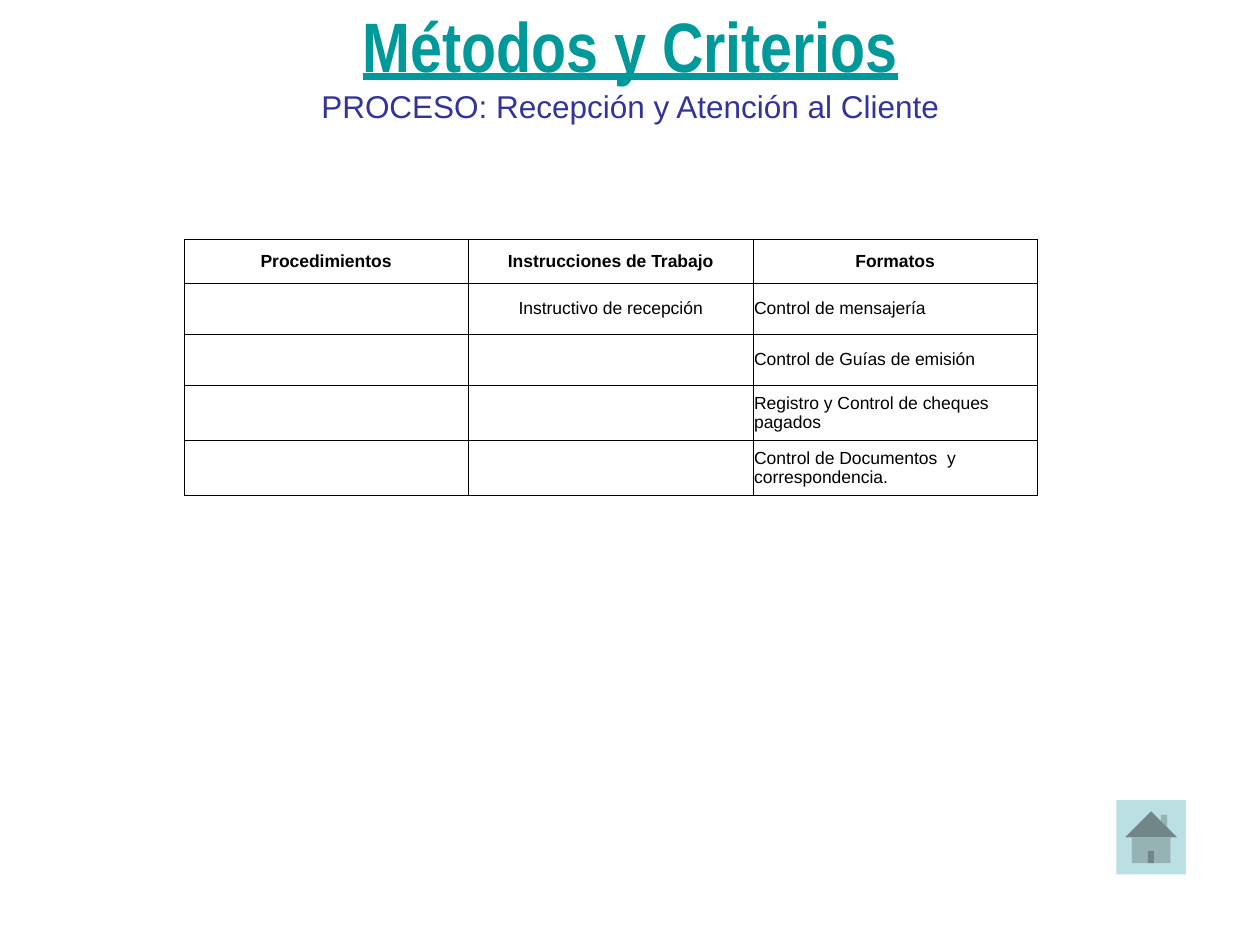
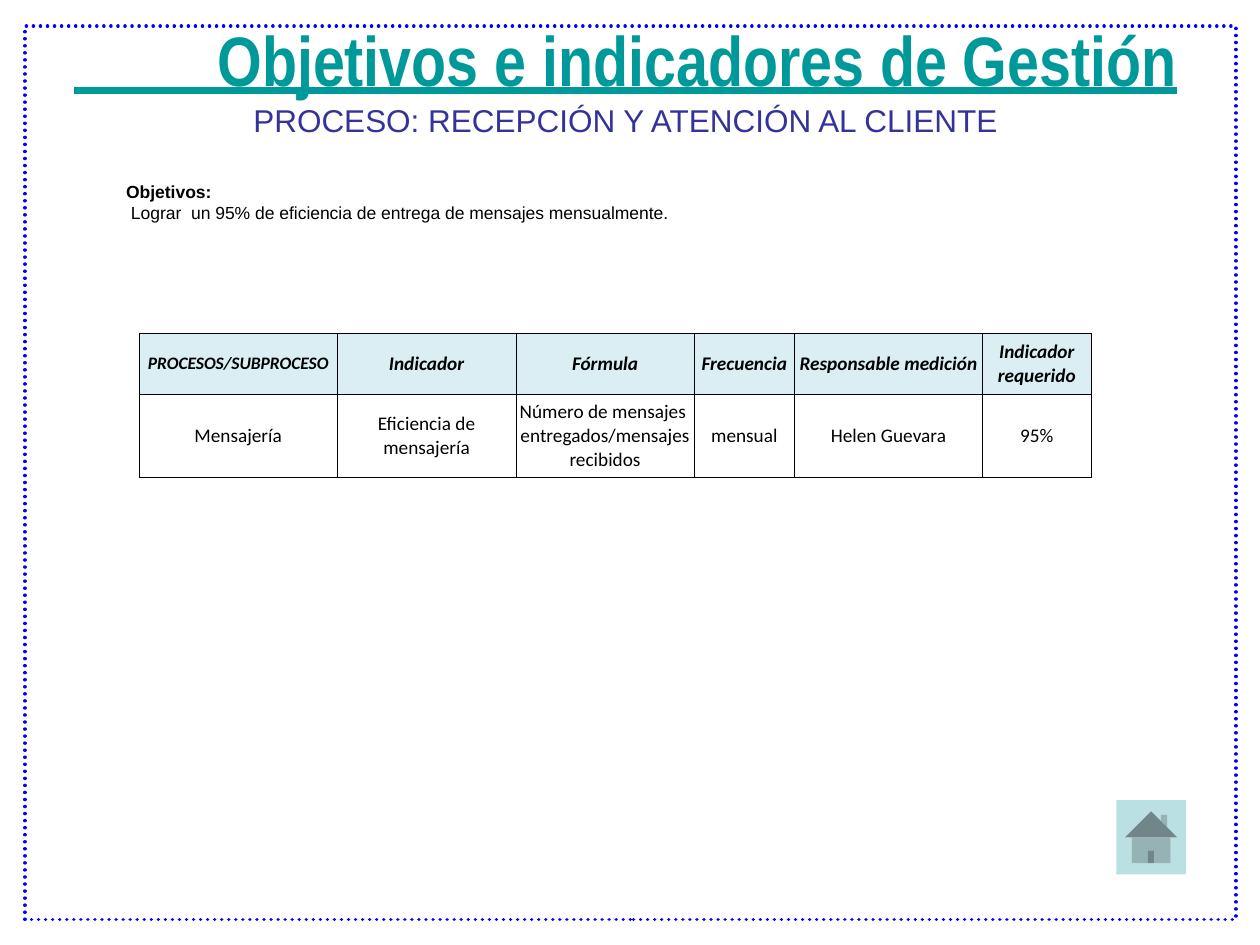
from lxml import etree
from pptx import Presentation
from pptx.dml.color import RGBColor
from pptx.enum.dml import MSO_LINE
from pptx.enum.shapes import MSO_SHAPE
from pptx.enum.text import MSO_ANCHOR, MSO_AUTO_SIZE, PP_ALIGN
from pptx.oxml.ns import qn
from pptx.util import Pt

TEAL = RGBColor(0x00, 0x99, 0x99)
NAVY = RGBColor(0x33, 0x33, 0x99)
BLUE = RGBColor(0x00, 0x00, 0xFF)
AQUA = RGBColor(0xBB, 0xE0, 0xE3)
PALE = RGBColor(0xDB, 0xEE, 0xF3)
BLACK = RGBColor(0x00, 0x00, 0x00)

LEFT, CENTER = PP_ALIGN.LEFT, PP_ALIGN.CENTER
BOTTOM, MIDDLE = MSO_ANCHOR.BOTTOM, MSO_ANCHOR.MIDDLE
FIXED = MSO_AUTO_SIZE.NONE
GROW = MSO_AUTO_SIZE.SHAPE_TO_FIT_TEXT
DOTS = MSO_LINE.ROUND_DOT
RECT, HOME = MSO_SHAPE.RECTANGLE, MSO_SHAPE.ACTION_BUTTON_HOME
TITLE_ONLY = 5


def write(par, text, size=10, face="Arial", color=BLACK, bold=False,
          italic=False, under=False, align=LEFT):
    par.alignment = align
    run = par.add_run()
    run.text = text
    font = run.font
    font.size, font.name = Pt(size), face
    font.bold, font.italic, font.underline = bold, italic, under
    font.color.rgb = color


def place(shape, left, top, width, height):
    shape.left, shape.top = Pt(left), Pt(top)
    shape.width, shape.height = Pt(width), Pt(height)


def add_title(slide, head, process, left, top, height):
    title = slide.shapes.title
    place(title, left, top, 692, height)
    frame = title.text_frame
    frame.auto_size, frame.word_wrap = FIXED, True
    frame.vertical_anchor = BOTTOM
    write(frame.paragraphs[0], head, size=40, face="Arial Narrow",
          color=TEAL, bold=True, under=True, align=CENTER)
    write(frame.add_paragraph(), process, size=18, color=NAVY, align=CENTER)


def add_home(slide):
    home = slide.shapes.add_shape(HOME, Pt(638), Pt(457.2), Pt(39.6), Pt(42.5))
    home.shadow.inherit = False
    home.fill.solid()
    home.fill.fore_color.rgb = AQUA
    home.line.fill.background()


def add_frame(slide):
    frame = slide.shapes.add_shape(RECT, Pt(14.2), Pt(15), Pt(692), Pt(510.5))
    frame.shadow.inherit = False
    frame.fill.background()
    frame.line.color.rgb = BLUE
    frame.line.width = Pt(2)
    frame.line.dash_style = DOTS
    frame.element.spPr.find(qn("a:ln")).set("cap", "rnd")


def add_goal(slide, head, goal):
    box = slide.shapes.add_textbox(Pt(65), Pt(100), Pt(572.4), Pt(43.2))
    frame = box.text_frame
    frame.word_wrap, frame.auto_size = True, GROW
    write(frame.paragraphs[0], head, bold=True)
    write(frame.add_paragraph(), goal)


def add_edges(cell):
    props = cell._tc.get_or_add_tcPr()
    for side in ("lnL", "lnR", "lnT", "lnB"):
        edge = etree.SubElement(props, qn("a:" + side), w=str(Pt(0.23)))
        fill = etree.SubElement(edge, qn("a:solidFill"))
        etree.SubElement(fill, qn("a:srgbClr"), val=str(BLACK))


def add_grid(slide, left, top, widths, heights, rows, style, tint=None):
    shape = slide.shapes.add_table(len(heights), len(widths), Pt(left), Pt(top),
                                   Pt(sum(widths)), Pt(sum(heights)))
    table = shape.table
    table.first_row = table.horz_banding = False
    for col, width in zip(table.columns, widths):
        col.width = Pt(width)
    for row, height in zip(table.rows, heights):
        row.height = Pt(height)
    for r, texts in enumerate(rows):
        for c, text in enumerate(texts):
            cell = table.cell(r, c)
            cell.margin_left = cell.margin_right = Pt(0.75)
            cell.margin_top = cell.margin_bottom = Pt(3.6)
            cell.vertical_anchor = MIDDLE
            add_edges(cell)
            if tint and r == 0:
                cell.fill.solid()
                cell.fill.fore_color.rgb = tint
            else:
                cell.fill.background()
            if text:
                write(cell.text_frame.paragraphs[0], text, **style(r, c))


def method_style(r, c):
    return dict(bold=r == 0, align=LEFT if r and c == 2 else CENTER)


def goal_style(r, c):
    return dict(size=10 if r == c == 0 else 11, face="Calibri",
                bold=r == 0, italic=r == 0, align=CENTER)


def add_methods(deck):
    slide = deck.slides.add_slide(deck.slide_layouts[TITLE_ONLY])
    add_home(slide)
    add_title(slide, "Métodos y Criterios",
              "PROCESO: Recepción y Atención al Cliente", 14.2, 28, 46.8)
    rows = [
        ("Procedimientos", "Instrucciones de Trabajo", "Formatos"),
        ("", "Instructivo de recepción", "Control de mensajería"),
        ("", "", "Control de Guías de emisión"),
        ("", "", "Registro y Control de cheques pagados"),
        ("", "", "Control de Documentos  y correspondencia."),
    ]
    add_grid(slide, 105, 136.7, [162.6] * 3, [25.2, 29, 29, 31.4, 31.4],
             rows, method_style)


def add_goals(deck):
    slide = deck.slides.add_slide(deck.slide_layouts[TITLE_ONLY])
    add_frame(slide)
    add_home(slide)
    add_title(slide, "         Objetivos e indicadores de Gestión",
              "PROCESO: RECEPCIÓN Y ATENCIÓN AL CLIENTE", 11.5, 55.4, 27.4)
    rows = [
        ("PROCESOS/SUBPROCESO", "Indicador", "Fórmula", "Frecuencia",
         "Responsable medición", "Indicador requerido"),
        ("Mensajería", "Eficiencia de mensajería",
         "Número de mensajes  entregados/mensajes recibidos", "mensual",
         "Helen Guevara", "95%"),
    ]
    add_grid(slide, 79.4, 190.6, [113.4, 102, 102, 57.2, 107.6, 62],
             [33.7, 46.9], rows, goal_style, tint=PALE)
    add_goal(slide, "Objetivos:",
             " Lograr  un 95% de eficiencia de entrega de mensajes mensualmente.")


def main():
    deck = Presentation()
    deck.slide_width, deck.slide_height = Pt(720), Pt(540)
    add_methods(deck)
    add_goals(deck)
    deck.save("out.pptx")


main()
